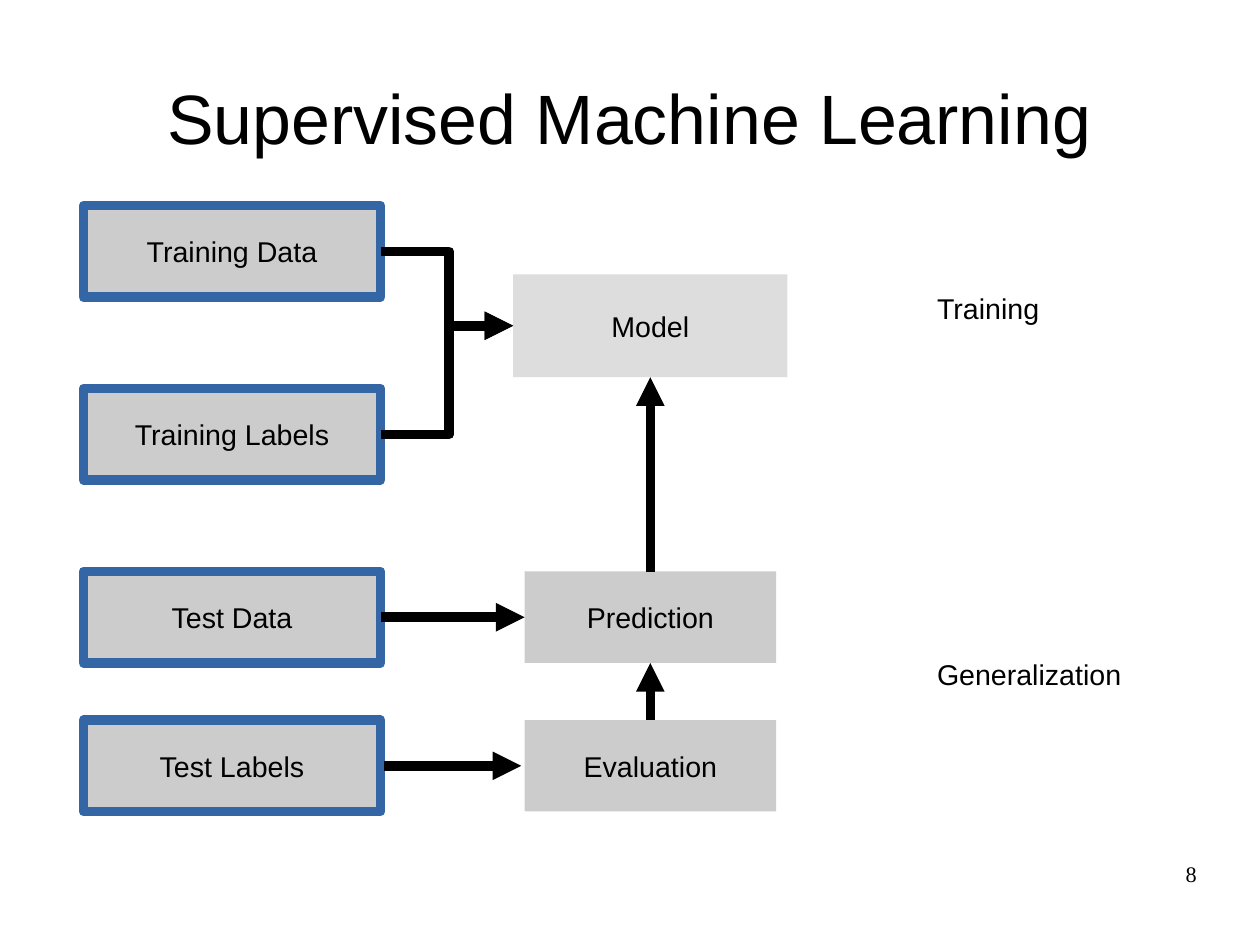
"""Build the supervised machine learning diagram slide."""
from lxml import etree
from pptx import Presentation
from pptx.dml.color import RGBColor
from pptx.enum.shapes import MSO_CONNECTOR as CONNECTOR, MSO_SHAPE as SHAPE
from pptx.enum.text import MSO_ANCHOR as ANCHOR, PP_ALIGN as ALIGN
from pptx.oxml.ns import qn
from pptx.util import Inches, Pt

BLACK = RGBColor(0x00, 0x00, 0x00)
BLUE = RGBColor(0x34, 0x65, 0xA4)
GRAY = RGBColor(0xCC, 0xCC, 0xCC)
LIGHT_GRAY = RGBColor(0xDD, 0xDD, 0xDD)
TOP, LEFT, BOTTOM, RIGHT = range(4)
CM_PER_INCH = 2.54


def write(shape, text, size, align, anchor, margins, font="Arial"):
    frame = shape.text_frame
    frame.word_wrap = True
    frame.vertical_anchor = anchor
    frame.margin_left = frame.margin_right = Inches(margins[0])
    frame.margin_top = frame.margin_bottom = Inches(margins[1])
    paragraph = frame.paragraphs[0]
    paragraph.text = text
    paragraph.alignment = align
    paragraph.font.size = Pt(size)
    paragraph.font.name = font
    paragraph.font.color.rgb = BLACK


def style_arrow(connector):
    connector.line.color.rgb = BLACK
    connector.line.width = Pt(6)
    line = connector.line._get_or_add_ln()
    etree.SubElement(line, qn("a:round"))
    etree.SubElement(line, qn("a:tailEnd"), type="triangle")
    etree.SubElement(connector._element.spPr, qn("a:effectLst"))


presentation = Presentation()
presentation.slide_width = Inches(28 / CM_PER_INCH)
presentation.slide_height = Inches(21 / CM_PER_INCH)
slide = presentation.slides.add_slide(presentation.slide_layouts[6])
shapes = slide.shapes

title = shapes.add_textbox(Inches(0.55), Inches(0.33), Inches(9.92), Inches(1.38))
write(title, "Supervised Machine Learning", 44, ALIGN.CENTER, ANCHOR.MIDDLE, (0, 0))

boxes = {}
for name, left, top, width, height, fill, outlined in [
    ("Training Data", 0.73, 1.8, 2.6, 0.8, GRAY, True),
    ("Training Labels", 0.73, 3.4, 2.6, 0.8, GRAY, True),
    ("Test Data", 0.73, 5, 2.6, 0.8, GRAY, True),
    ("Test Labels", 0.73, 6.3, 2.6, 0.8, GRAY, True),
    ("Model", 4.49, 2.4, 2.4, 0.9, LIGHT_GRAY, False),
    ("Prediction", 4.59, 5, 2.2, 0.8, GRAY, False),
    ("Evaluation", 4.59, 6.3, 2.2, 0.8, GRAY, False),
]:
    box = shapes.add_shape(
        SHAPE.RECTANGLE, Inches(left), Inches(top), Inches(width), Inches(height))
    box.shadow.inherit = False
    box.fill.solid()
    box.fill.fore_color.rgb = fill
    if outlined:
        box.line.color.rgb = BLUE
        box.line.width = Pt(6)
    else:
        box.line.fill.background()
    margins = (0.14, 0.09) if outlined else (0.1, 0.05)
    write(box, name, 18, ALIGN.CENTER, ANCHOR.MIDDLE, margins)
    boxes[name] = box

for kind, source, source_side, target, target_side in [
    (CONNECTOR.ELBOW, "Training Data", RIGHT, "Model", LEFT),
    (CONNECTOR.ELBOW, "Training Labels", RIGHT, "Model", LEFT),
    (CONNECTOR.STRAIGHT, "Test Data", RIGHT, "Prediction", LEFT),
    (CONNECTOR.STRAIGHT, "Prediction", TOP, "Model", BOTTOM),
    (CONNECTOR.STRAIGHT, "Evaluation", TOP, "Prediction", BOTTOM),
]:
    arrow = shapes.add_connector(kind, 0, 0, 0, 0)
    arrow.begin_connect(boxes[source], source_side)
    arrow.end_connect(boxes[target], target_side)
    style_arrow(arrow)
    if kind == CONNECTOR.ELBOW:
        adjustments = arrow._element.spPr.find(qn("a:prstGeom")).find(qn("a:avLst"))
        etree.SubElement(adjustments, qn("a:gd"), name="adj1", fmla="val 51800")

test_labels_arrow = shapes.add_connector(
    CONNECTOR.STRAIGHT, Inches(3.36), Inches(6.7), Inches(4.56), Inches(6.7))
style_arrow(test_labels_arrow)

for phase, top, width in [("Training", 2.5, 1.2), ("Generalization", 5.7, 2.1)]:
    label = shapes.add_textbox(Inches(8.1), Inches(top), Inches(width), Inches(0.38))
    write(label, phase, 18, ALIGN.LEFT, ANCHOR.TOP, (0.1, 0.05))

page_number = shapes.add_textbox(Inches(7.9), Inches(7.53), Inches(2.57), Inches(0.57))
write(page_number, "8", 14, ALIGN.RIGHT, ANCHOR.TOP, (0, 0), "Times New Roman")

presentation.save("out.pptx")
